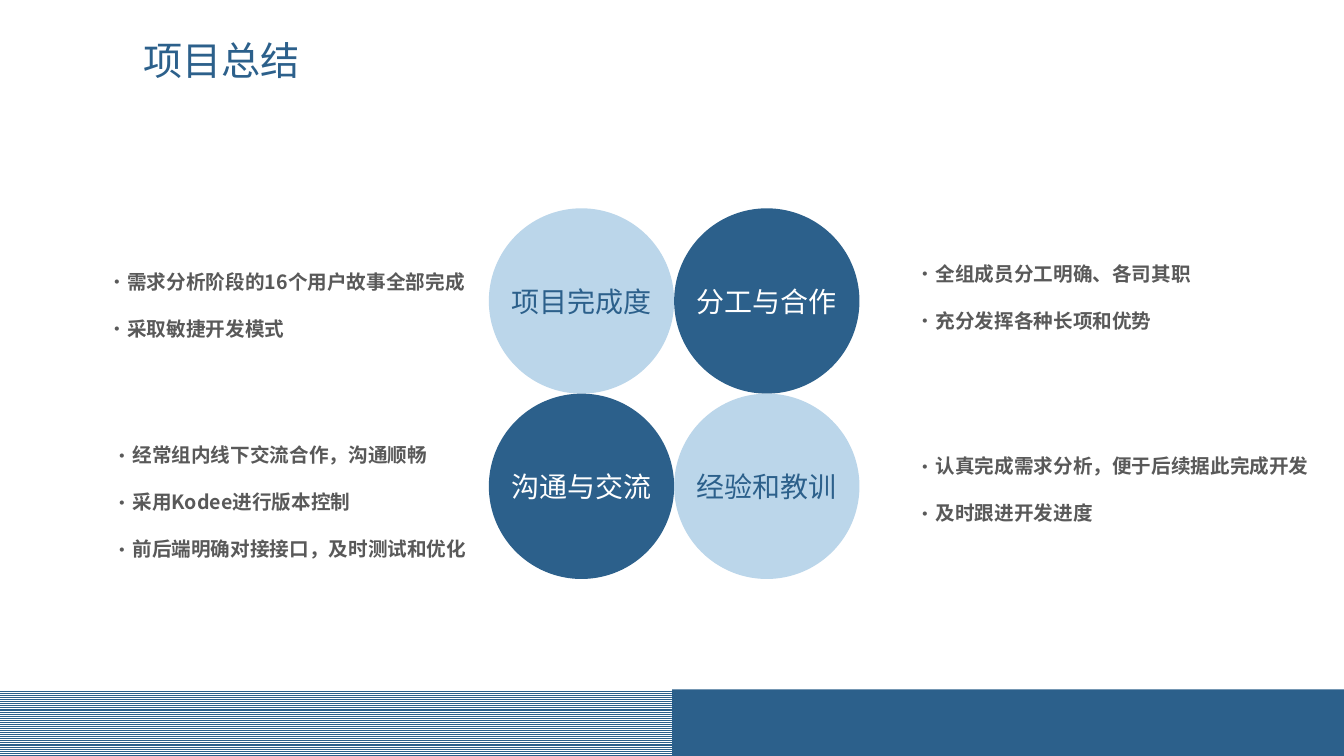
from dataclasses import dataclass

from lxml.etree import SubElement
from pptx import Presentation
from pptx.dml.color import RGBColor
from pptx.enum.dml import MSO_PATTERN
from pptx.enum.shapes import MSO_SHAPE
from pptx.enum.text import MSO_ANCHOR, MSO_AUTO_SIZE, PP_ALIGN
from pptx.oxml.ns import qn
from pptx.util import Cm, Pt


@dataclass(frozen=True)
class Theme:
    font: str = "Noto Sans CJK SC"
    navy: str = "2C608B"
    sky: str = "BBD6EA"
    gray: str = "595959"
    white: str = "FFFFFF"
    head: int = 28
    label: int = 20
    body: int = 14


def rgb(code):
    return RGBColor.from_string(code)


def write(frame, *lines, font, size, color, bold=False, align=PP_ALIGN.LEFT,
          anchor=MSO_ANCHOR.TOP, wrap=True, space=1.0, bullet=None):
    """Fill a text frame, one paragraph per line."""
    frame.auto_size = MSO_AUTO_SIZE.NONE
    frame.word_wrap = wrap
    frame.vertical_anchor = anchor
    for i, line in enumerate(lines):
        para = frame.add_paragraph() if i else frame.paragraphs[0]
        para.alignment = align
        para.line_spacing = space
        para.space_before = Pt(0)
        if bullet:
            props = para._p.get_or_add_pPr()
            indent = Pt(size)
            props.set("marL", str(indent))
            props.set("indent", str(-indent))
            SubElement(props, qn("a:buFont"), typeface=font)
            SubElement(props, qn("a:buChar"), char=bullet)
        run = para.add_run()
        run.text = line
        run.font.name = font
        run.font.size = Pt(size)
        run.font.bold = bold
        run.font.color.rgb = rgb(color)
        SubElement(run._r.get_or_add_rPr(), qn("a:ea"), typeface=font)


class Deck:
    def __init__(self, theme):
        self.theme = theme
        self.file = Presentation()
        self.file.slide_width = Cm(33.87)
        self.file.slide_height = Cm(19.05)
        layout = self.file.slide_layouts.get_by_name("Comparison")
        self.slide = self.file.slides.add_slide(layout)

    def place(self, item, left, top, width, height):
        item.left, item.top = Cm(left), Cm(top)
        item.width, item.height = Cm(width), Cm(height)

    def title(self, text, *box):
        item = self.slide.shapes.title
        self.place(item, *box)
        write(item.text_frame, text, font=self.theme.font,
              size=self.theme.head, color=self.theme.navy)

    def points(self, slot, lines, align, *box):
        item = self.slide.placeholders[slot]
        self.place(item, *box)
        write(item.text_frame, *lines, font=self.theme.font,
              size=self.theme.body, color=self.theme.gray, bold=True,
              align=align, space=2.0, bullet="·")

    def shape(self, kind, color, *box, lined=False):
        item = self.slide.shapes.add_shape(kind, *map(Cm, box))
        item.shadow.inherit = False
        item.line.fill.background()
        if lined:
            item.fill.patterned()
            item.fill.pattern = MSO_PATTERN.LIGHT_HORIZONTAL
            item.fill.fore_color.rgb = rgb(color)
            item.fill.back_color.rgb = rgb(self.theme.white)
        else:
            item.fill.solid()
            item.fill.fore_color.rgb = rgb(color)
        return item

    def disc(self, text, fill, color, left, top, size):
        item = self.shape(MSO_SHAPE.OVAL, fill, left, top, size, size)
        write(item.text_frame, text, font=self.theme.font,
              size=self.theme.label, color=color, align=PP_ALIGN.CENTER,
              anchor=MSO_ANCHOR.MIDDLE, wrap=False)


def main():
    theme = Theme()
    deck = Deck(theme)
    deck.title("项目总结", 3.35, 0.79, 6.58, 1.45)

    size = 4.67
    topics = ["项目完成度", "分工与合作", "沟通与交流", "经验和教训"]
    for i, topic in enumerate(topics):
        row, col = divmod(i, 2)
        dark = row != col
        deck.disc(topic, theme.navy if dark else theme.sky,
                  theme.white if dark else theme.navy,
                  12.32 + col * size, 5.25 + row * size, size)

    left, just = PP_ALIGN.LEFT, PP_ALIGN.JUSTIFY
    lists = [
        (["需求分析阶段的16个用户故事全部完成", "采取敏捷开发模式"],
         just, 2.46, 6.07, 10.16, 3.63),
        (["全组成员分工明确、各司其职", "充分发挥各种长项和优势"],
         left, 22.83, 5.87, 9.09, 2.44),
        (["经常组内线下交流合作，沟通顺畅", "采用Kodee进行版本控制",
          "前后端明确对接接口，及时测试和优化"],
         just, 2.59, 10.44, 9.91, 3.63),
        (["认真完成需求分析，便于后续据此完成开发", "及时跟进开发进度"],
         left, 22.83, 10.72, 10.87, 2.44),
    ]
    for slot, (lines, align, *box) in enumerate(lists, 1):
        deck.points(slot, lines, align, *box)

    half = 16.94
    for i, lined in enumerate((True, False)):
        deck.shape(MSO_SHAPE.RECTANGLE, theme.navy, i * half, 17.37,
                   half, 1.68, lined=lined)

    deck.file.save("out.pptx")


if __name__ == "__main__":
    main()
